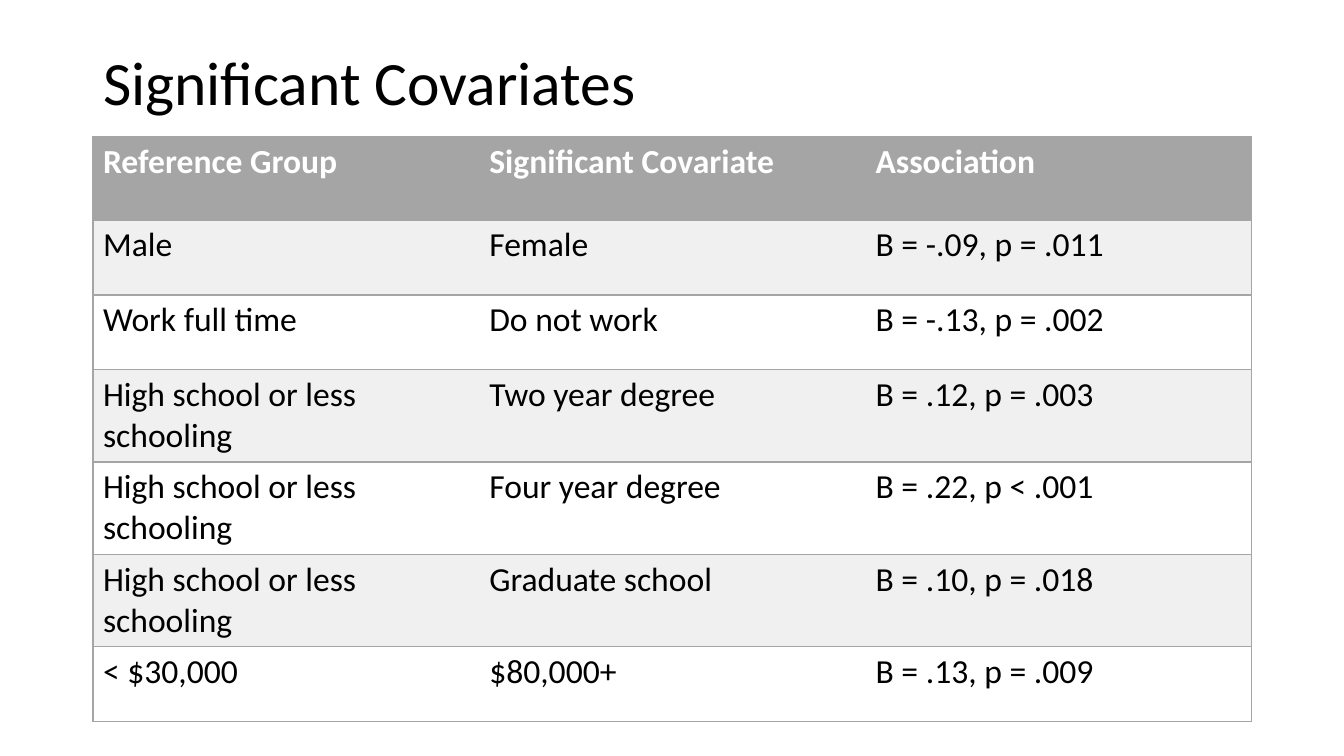
from lxml import etree
from pptx import Presentation
from pptx.dml.color import RGBColor
from pptx.enum.text import MSO_ANCHOR, PP_ALIGN
from pptx.oxml.ns import qn
from pptx.util import Emu, Pt

LEFT, MIDDLE = PP_ALIGN.LEFT, MSO_ANCHOR.MIDDLE
GRAY, BAND, WHITE, BLACK = "A5A5A5", "F0F0F0", "FFFFFF", "000000"
TITLE_ONLY = 5
BORDER_WIDTH = Pt(1)


def px(n):
    return Emu(round(n * 914400 / 100.8))


def set_text(tf, text, size=24, color=BLACK, bold=False, spacing=1.0):
    p = tf.paragraphs[0]
    p.alignment = LEFT
    p.line_spacing = spacing
    r = p.add_run()
    r.text = text
    r.font.name = "Calibri"
    r.font.size = Pt(size)
    r.font.bold = bold
    r.font.color.rgb = RGBColor.from_string(color)


prs = Presentation()
prs.slide_width, prs.slide_height = px(1344), px(756)
s = prs.slides.add_slide(prs.slide_layouts[TITLE_ONLY])

# Title
title = s.shapes.title
title.left, title.top, title.width, title.height = px(93), px(40), px(1159), px(91)
title.text_frame.vertical_anchor = MIDDLE
set_text(title.text_frame, "Significant Covariates", size=44, spacing=0.9)

# Table content
rows = [
    ("Reference Group", "Significant Covariate", "Association"),
    ("Male", "Female", "Β = -.09, p = .011"),
    ("Work full time", "Do not work", "Β = -.13, p = .002"),
    ("High school or less schooling", "Two year degree", "Β = .12, p = .003"),
    ("High school or less schooling", "Four year degree", "Β = .22, p < .001"),
    ("High school or less schooling", "Graduate school", "Β = .10, p = .018"),
    ("< $30,000", "$80,000+", "Β = .13, p = .009"),
]
heights = [83] + [75] * (len(rows) - 1)
last_col = len(rows[0]) - 1

# Table grid
table = s.shapes.add_table(len(rows), len(rows[0]), px(93), px(137),
                           px(1159), px(sum(heights))).table
table.horz_banding = False
for row, height in zip(table.rows, heights):
    row.height = px(height)

# Cells: outer frame and row rules, no inner vertical lines
for i, row in enumerate(rows):
    header = i == 0
    fill = GRAY if header else BAND if i % 2 else WHITE
    for j, text in enumerate(row):
        cell = table.cell(i, j)
        set_text(cell.text_frame, text, color=WHITE if header else BLACK, bold=header)
        tcPr = cell._tc.get_or_add_tcPr()
        sides = {"a:lnL": j == 0, "a:lnR": j == last_col, "a:lnT": True, "a:lnB": True}
        for tag, visible in sides.items():
            ln = etree.SubElement(tcPr, qn(tag), w=str(BORDER_WIDTH))
            if visible:
                line_fill = etree.SubElement(ln, qn("a:solidFill"))
                etree.SubElement(line_fill, qn("a:srgbClr"), val=GRAY)
            else:
                etree.SubElement(ln, qn("a:noFill"))
        cell.fill.solid()
        cell.fill.fore_color.rgb = RGBColor.from_string(fill)

prs.save("out.pptx")
